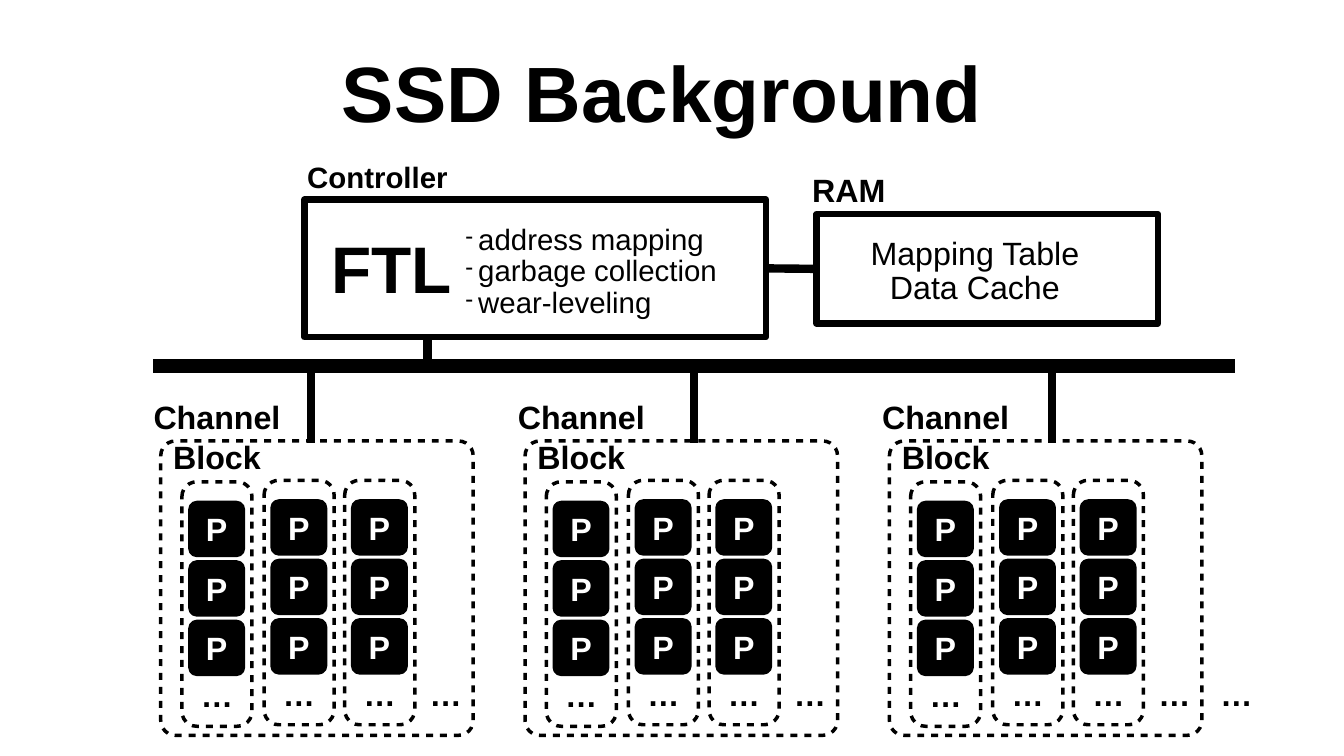
import lxml.etree
import pptx
import pptx.dml.color
import pptx.enum.shapes
import pptx.enum.text
import pptx.oxml.ns
import pptx.util

Inches = pptx.util.Inches
Pt = pptx.util.Pt
ALIGN = pptx.enum.text.PP_ALIGN
ANCHOR = pptx.enum.text.MSO_ANCHOR
SHAPE = pptx.enum.shapes.MSO_SHAPE
qn = pptx.oxml.ns.qn
BLACK = pptx.dml.color.RGBColor(0, 0, 0)
WHITE = pptx.dml.color.RGBColor(255, 255, 255)


def style_text(tf, size, bold=True, color=BLACK, align=ALIGN.CENTER, anchor=ANCHOR.BOTTOM,
               spacing=0.9, wrap=False):
    """Format a whole text frame."""
    tf.auto_size = pptx.enum.text.MSO_AUTO_SIZE.NONE
    tf.word_wrap = wrap
    tf.vertical_anchor = anchor
    tf.margin_left = tf.margin_right = tf.margin_top = tf.margin_bottom = Inches(0.08)
    for p in tf.paragraphs:
        p.alignment = align
        p.line_spacing = spacing
        p.space_before = Pt(0)
        for r in p.runs:
            r.font.name = "Arial"
            r.font.size = Pt(size)
            r.font.bold = bold
            r.font.color.rgb = color


def add_label(s, text, x, y, w, h, size=46, **style):
    """Add a text box and return its text frame."""
    tf = s.shapes.add_textbox(Inches(x), Inches(y), Inches(w), Inches(h)).text_frame
    tf.text = text
    style_text(tf, size, **style)
    return tf


def add_box(s, kind, x, y, w, h, width, radius=None, fill=None, dashed=False):
    """Add a black-outlined shape, optionally rounded, filled or dashed."""
    sp = s.shapes.add_shape(kind, Inches(x), Inches(y), Inches(w), Inches(h))
    sp.shadow.inherit = False
    if radius is not None:
        sp.adjustments[0] = radius
    if fill is None:
        sp.fill.background()
    else:
        sp.fill.solid()
        sp.fill.fore_color.rgb = fill
    sp.line.color.rgb = BLACK
    sp.line.width = Pt(width)
    if dashed:
        ln = sp.line._get_or_add_ln()
        dash = lxml.etree.SubElement(ln, qn("a:custDash"))
        lxml.etree.SubElement(dash, qn("a:ds"), d="200000", sp="200000")
    return sp


def add_line(s, x1, y1, x2, y2, width=12):
    """Add a straight black connector."""
    line = s.shapes.add_connector(pptx.enum.shapes.MSO_CONNECTOR.STRAIGHT,
                                  Inches(x1), Inches(y1), Inches(x2), Inches(y2))
    line.line.color.rgb = BLACK
    line.line.width = Pt(width)
    lxml.etree.SubElement(line._element.spPr, qn("a:effectLst"))
    return line


def add_title(s, x, y, w, h):
    """Place the slide title."""
    sp = s.shapes.title
    sp.left, sp.top, sp.width, sp.height = Inches(x), Inches(y), Inches(w), Inches(h)
    sp.text_frame.text = "SSD Background"
    style_text(sp.text_frame, 112, anchor=ANCHOR.MIDDLE, spacing=1.0, wrap=True)


def add_block(s, x, y):
    """Draw one flash block with its pages."""
    for i in range(3):
        sp = add_box(s, SHAPE.ROUNDED_RECTANGLE, x + 0.16, y + 0.41 + 1.18 * i, 1.06, 1.05,
                     5, 0.13, BLACK)
        sp.text_frame.text = "P"
        style_text(sp.text_frame, 46, color=WHITE, anchor=ANCHOR.MIDDLE, spacing=1.0, wrap=True)
    add_box(s, SHAPE.ROUNDED_RECTANGLE, x, y, 1.39, 4.85, 5, 0.21, dashed=True)
    add_label(s, "…", x + 0.29, y + 3.78, 0.81, 0.92)


def add_channel(s, x, y):
    """Draw one channel with its blocks."""
    for dx, dy in ((0.42, 0.81), (2.05, 0.78), (3.65, 0.78)):
        add_block(s, x + dx, y + dy)
    add_label(s, "Block", x + 0.16, y - 0.13, 1.91, 0.92)
    add_label(s, "…", x + 5.25, y + 4.56, 0.81, 0.92)
    add_box(s, SHAPE.ROUNDED_RECTANGLE, x, y, 6.2, 5.84, 5, 0.05, dashed=True)
    add_label(s, "Channel", x - 0.23, y - 0.93, 2.69, 0.92)


def add_bus(s, x, y, w):
    """Draw the bus with its drops to the channels."""
    add_line(s, x, y, x + w, y, 20)
    for dx in (3.13, 10.73, 17.83):
        add_line(s, x + dx, y - 0.13, x + dx, y + 1.51)


def add_controller(s, x, y, w, h):
    """Draw the controller with the FTL and its duties."""
    add_line(s, x + 2.44, y + h - 0.02, x + 2.44, y + h + 0.67)
    sp = add_box(s, SHAPE.RECTANGLE, x, y, w, h, 9)
    add_label(s, "Controller", x - 0.03, y - 0.86, 2.96, 0.85, 42)
    add_label(s, "FTL", x + 0.45, y + 0.48, 2.56, 1.73, 94, spacing=1.0)
    tf = add_label(s, "address mapping\ngarbage collection\nwear-leveling",
                   x + 3.12, y + 0.23, 5.48, 2.24, 42, bold=False, align=ALIGN.LEFT)
    for p in tf.paragraphs:
        pPr = p._p.get_or_add_pPr()
        pPr.set("marL", str(Inches(0.25)))
        pPr.set("indent", str(Inches(-0.25)))
        lxml.etree.SubElement(pPr, qn("a:buSzPct"), val="75000")
        lxml.etree.SubElement(pPr, qn("a:buChar"), char="-")
    return sp


def add_ram(s, x, y, w, h):
    """Draw the RAM and its contents."""
    sp = add_box(s, SHAPE.RECTANGLE, x, y, w, h, 9)
    add_label(s, "RAM", x - 0.17, y - 0.93, 1.63, 0.92)
    add_label(s, "Mapping Table\nData Cache", x + 0.84, y + 0.24, 4.61, 1.68, bold=False)
    return sp


def main():
    """Build the slide."""
    prs = pptx.Presentation()
    prs.slide_width, prs.slide_height = Inches(26.67), Inches(15)
    s = prs.slides.add_slide(prs.slide_layouts[5])
    add_title(s, 3.5, 0.15, 19.27, 3.32)
    for i in range(3):
        add_channel(s, 3.19 + 7.23 * i, 8.75)
    add_label(s, "…", 24.13, 13.31, 0.81, 0.92)
    add_bus(s, 3.04, 7.27, 21.46)
    controller = add_controller(s, 6.04, 3.96, 9.16, 2.73)
    ram = add_ram(s, 16.2, 4.25, 6.78, 2.17)
    link = add_line(s, 16.2, 5.33, 15.2, 5.33)
    link.begin_connect(ram, 1)
    link.end_connect(controller, 3)
    prs.save("out.pptx")


if __name__ == "__main__":
    main()
